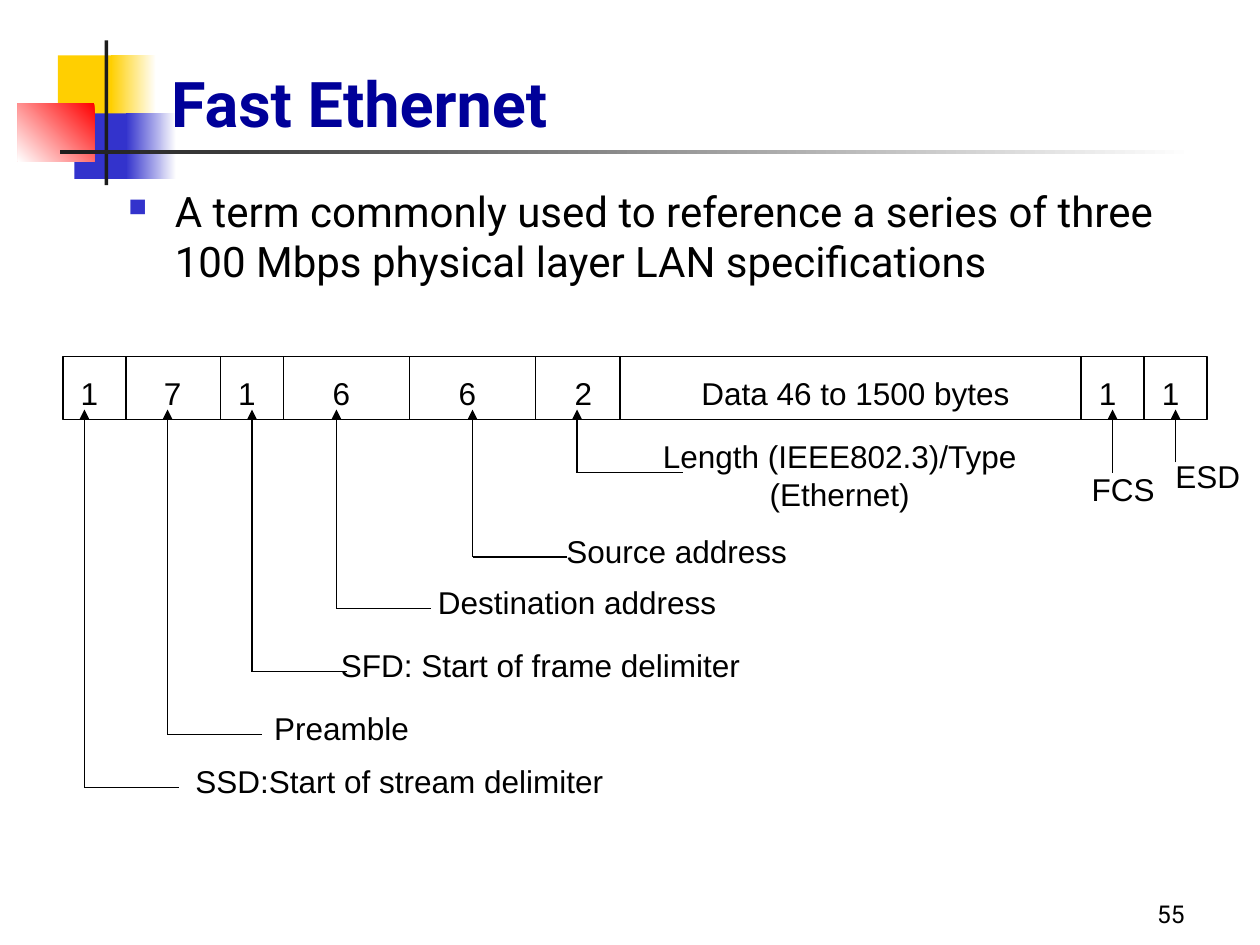
from itertools import pairwise

from lxml import etree
from pptx import Presentation
from pptx.dml.color import RGBColor
from pptx.enum import shapes, text
from pptx.oxml.ns import qn
from pptx.util import Inches, Pt

COLORS = {
    "ink": "000000", "title": "000099", "white": "FFFFFF", "yellow": "FFCF01",
    "blue": "3333CC", "red": "FF0000", "bar": "1C1C1C",
}
LEFT, CENTER, RIGHT = text.PP_ALIGN.LEFT, text.PP_ALIGN.CENTER, text.PP_ALIGN.RIGHT
TOP, BOTTOM = text.MSO_ANCHOR.TOP, text.MSO_ANCHOR.BOTTOM


def rgb(name):
    """Return a named colour."""
    return RGBColor.from_string(COLORS[name])


def add_text(slide, box, words, size=18, font="Arial", color="ink", bold=False,
             align=CENTER, anchor=TOP):
    """Write one wrapped paragraph in a box and return the paragraph."""
    frame = slide.shapes.add_textbox(*map(Inches, box)).text_frame
    frame.word_wrap = True
    frame.vertical_anchor = anchor
    paragraph = frame.paragraphs[0]
    paragraph.text = words
    paragraph.alignment = align
    paragraph.font.size = Pt(size)
    paragraph.font.name = font
    paragraph.font.bold = bold
    paragraph.font.color.rgb = rgb(color)
    return paragraph


def add_block(slide, box, start, end=None, angle=0):
    """Draw a borderless rectangle, plain or fading from start to end."""
    block = slide.shapes.add_shape(shapes.MSO_SHAPE.RECTANGLE, *map(Inches, box))
    block.shadow.inherit = False
    block.line.fill.background()
    if end is None:
        block.fill.solid()
        block.fill.fore_color.rgb = rgb(start)
        return
    block.fill.gradient()
    block.fill.gradient_angle = angle
    for stop, color, position in zip(block.fill.gradient_stops, (start, end), (0, 1)):
        stop.color.rgb = rgb(color)
        stop.position = position


def add_line(slide, x1, y1, x2, y2, arrow=False):
    """Draw a thin line, with an arrowhead at its end on request."""
    line = slide.shapes.add_connector(
        shapes.MSO_CONNECTOR.STRAIGHT, *map(Inches, (x1, y1, x2, y2)))
    line.line.width = Pt(0.74)
    line.line.color.rgb = rgb("ink")
    if arrow:
        etree.SubElement(line.line._get_or_add_ln(), qn("a:tailEnd"), type="triangle")
    etree.SubElement(line._element.spPr, qn("a:effectLst"))


def add_decoration(slide, x, y):
    """Draw the coloured blocks and crossing bars from their top-left corner."""
    for (dx, dy, w, h), *fill in (
        ((0.32, 0.12, 0.48, 0.52), "yellow"),
        ((0.74, 0.12, 0.36, 0.52), "white", "yellow", 180),
        ((0.45, 0.58, 0.46, 0.52), "blue"),
        ((0.86, 0.58, 0.4, 0.52), "white", "blue", 180),
        ((0, 0.5, 0.61, 0.46), "red", "white", 225),
        ((0.69, 0, 0.03, 1.15), "bar"),
        ((0.34, 0.87, 9, 0.03), "white", "bar", 180),
    ):
        add_block(slide, (x + dx, y + dy, w, h), *fill)


def add_bullet(slide, box, words):
    """Write the body sentence with a small square bullet."""
    bullet = add_text(slide, box, words, 24, "Roboto", align=LEFT)
    properties = bullet._p.get_or_add_pPr()
    properties.set("marL", str(Inches(0.37)))
    properties.set("indent", str(-Inches(0.37)))
    marks = [etree.Element(qn(tag)) for tag in ("a:buClr", "a:buSzPct", "a:buChar")]
    etree.SubElement(marks[0], qn("a:srgbClr"), val=COLORS["blue"])
    marks[1].set("val", "60000")
    marks[2].set("char", "■")
    for place, mark in enumerate(marks):
        properties.insert(place, mark)


def add_frame_fields(slide, x, y, height):
    """Draw the Ethernet frame as a row of fields with their byte counts."""
    fields = (  # field width, label offset, label width, label
        (0.5, 0, 0.42, "1"), (0.75, 0.08, 0.58, "7"), (0.5, 0, 0.42, "1"),
        (1, 0.25, 0.42, "6"), (1, 0.25, 0.42, "6"), (0.67, 0.17, 0.42, "2"),
        (3.66, 0.08, 3.58, "Data 46 to 1500 bytes"),
        (0.5, 0, 0.42, "1"), (0.5, 0, 0.42, "1"),
    )
    edges = [x]
    for width, *_ in fields:
        edges.append(edges[-1] + width)
    outline = slide.shapes.add_shape(
        shapes.MSO_SHAPE.RECTANGLE, *map(Inches, (x, y, edges[-1] - x, height)))
    outline.shadow.inherit = False
    outline.fill.background()
    outline.line.color.rgb = rgb("ink")
    outline.line.width = Pt(0.74)
    for edge in edges[1:-1]:
        add_line(slide, edge, y, edge, y + height)
    for (left, _), (_, offset, width, label) in zip(pairwise(edges), fields):
        add_text(slide, (left + offset, y + 0.09, width, 0.4), label)


def add_callouts(slide, tip):
    """Name the fields with arrows that end at the height of tip."""
    for stem, bottom, reach, box, name in (
        (9.33, 3.67, 0, (9.17, 3.58, 0.83, 0.4), "ESD"),
        (8.83, 3.75, 0, (8.5, 3.68, 0.83, 0.4), "FCS"),
        (4.58, 3.75, 0.84, (5.08, 3.42, 3.17, 0.7), "Length (IEEE802.3)/Type (Ethernet)"),
        (3.75, 4.42, 0.75, (4.33, 4.17, 2.08, 0.4), "Source address"),
        (2.67, 4.83, 0.75, (3.33, 4.58, 2.5, 0.4), "Destination address"),
        (2, 5.33, 0.75, (2.5, 5.08, 3.58, 0.4), "SFD: Start of frame delimiter"),
        (1.33, 5.83, 0.75, (2, 5.58, 1.42, 0.4), "Preamble"),
        (0.67, 6.25, 0.75, (1.42, 6, 3.5, 0.4), "SSD:Start of stream delimiter"),
    ):
        add_line(slide, stem, bottom, stem, tip, arrow=True)
        if reach:
            add_line(slide, stem, bottom, stem + reach, bottom)
        add_text(slide, box, name)


def build():
    """Build and save the Fast Ethernet slide."""
    deck = Presentation()
    deck.slide_width, deck.slide_height = Inches(10), Inches(7.5)
    slide = deck.slides.add_slide(deck.slide_layouts[6])
    add_decoration(slide, 0.14, 0.32)
    add_text(slide, (1.26, -0.09, 8.52, 1.25), "Fast Ethernet", 36, "Roboto",
             "title", True, LEFT, BOTTOM)
    add_bullet(slide, (0.92, 1.42, 8.5, 5.34),
               "A term commonly used to reference a series of three "
               "100 Mbps physical layer LAN specifications")
    add_frame_fields(slide, 0.5, 2.83, 0.5)
    add_callouts(slide, 3.25)
    add_text(slide, (7.42, 6.92, 2.08, 0.5), "55", 14, "Roboto",
             align=RIGHT, anchor=BOTTOM)
    deck.save("out.pptx")


build()
